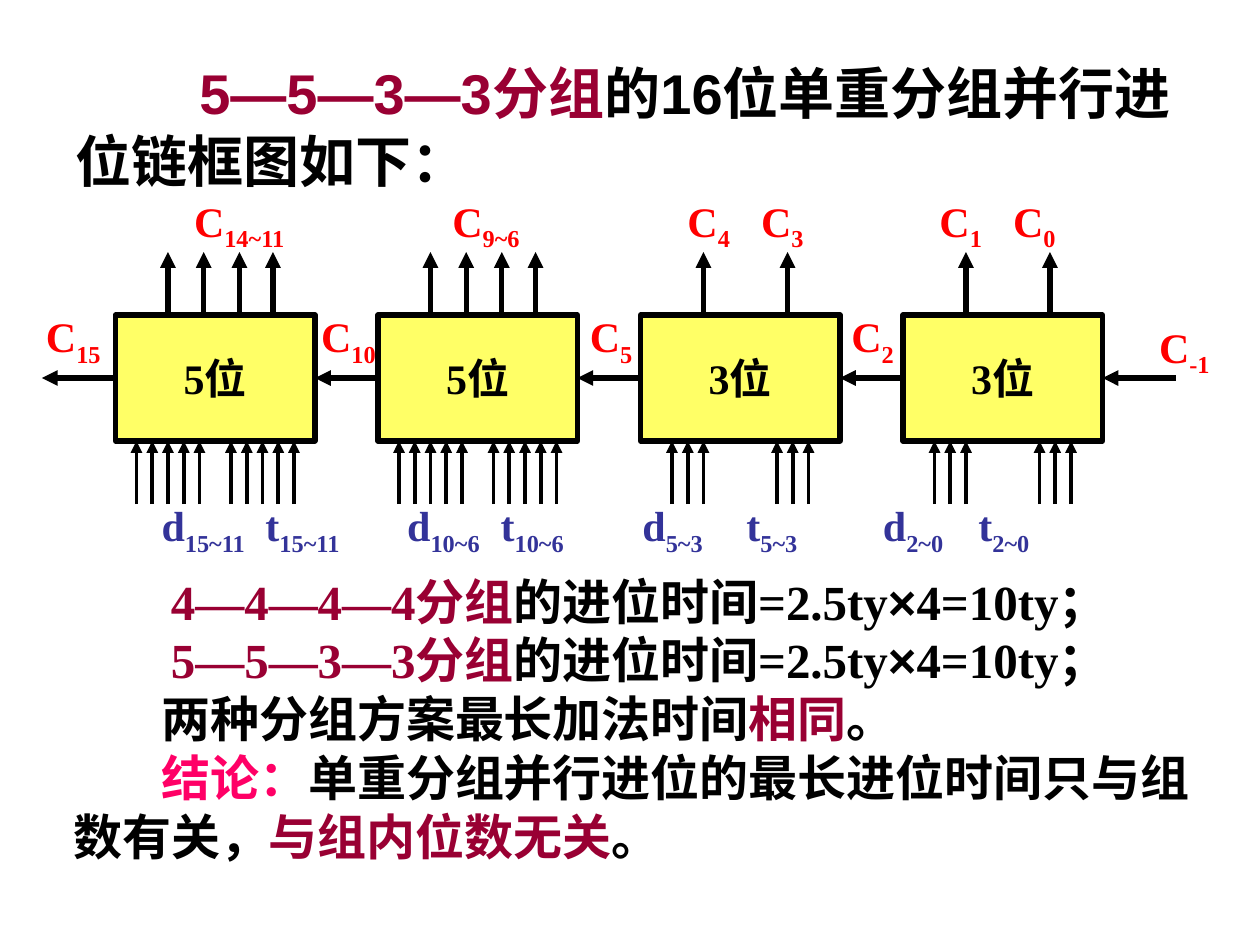
from pptx import Presentation
from pptx.dml.color import RGBColor as RGB
from pptx.enum.shapes import MSO_CONNECTOR as CONN, MSO_SHAPE as SHAPE
from pptx.enum.text import MSO_ANCHOR as ANCHOR, PP_ALIGN as ALIGN
from pptx.oxml.ns import qn
from pptx.util import Pt
from lxml.etree import SubElement

PX = 7620  # EMU per px: 120 px to the inch
SERIF, SANS = "Times New Roman", "Arial"
COLORS = {
    "black": "000000",
    "wine": "990033",
    "pink": "FF0066",
    "red": "FF0000",
    "blue": "333399",
    "yellow": "FFFF66",
}


def rgb(name):
    return RGB.from_string(COLORS[name])


def add_run(p, text, size, color="black", font=SERIF, sub=False):
    r = p.add_run()
    r.text = text
    r.font.size, r.font.bold, r.font.name = Pt(size), True, font
    r.font.color.rgb = rgb(color)
    if sub:
        r.font._element.set("baseline", "-25000")


def add_text(slide, box, anchor=ANCHOR.TOP):
    sp = slide.shapes.add_textbox(*(v * PX for v in box))
    tf = sp.text_frame
    tf.word_wrap, tf.vertical_anchor, tf.margin_right = True, anchor, 0
    return tf


def set_indent(p, px):
    pPr = p._p.get_or_add_pPr()
    pPr.set("marL", "0")
    pPr.set("indent", str(px * PX))


def add_labels(slide, box, color, labels, tabs=()):
    """One line of letters with subscripts, spread over tab stops."""
    p = add_text(slide, box).paragraphs[0]
    if tabs:
        tab_list = SubElement(p._p.get_or_add_pPr(), qn("a:tabLst"))
        for pos in tabs:
            SubElement(tab_list, qn("a:tab"), pos=str(pos * PX), algn="l")
    for i, (letter, sub) in enumerate(labels):
        add_run(p, ("\t" if i else "") + letter, 24, color)
        add_run(p, sub, 24, color, sub=True)


def add_arrow(slide, x1, y1, x2, y2, width=3):
    c = slide.shapes.add_connector(CONN.STRAIGHT, *(v * PX for v in (x1, y1, x2, y2)))
    c.line.color.rgb, c.line.width = rgb("black"), Pt(width)
    SubElement(c.line._get_or_add_ln(), qn("a:tailEnd"), type="triangle")
    SubElement(c._element.spPr, qn("a:effectLst"))
    return c


def add_title(slide, box):
    p = add_text(slide, box, ANCHOR.MIDDLE).paragraphs[0]
    set_indent(p, 118)
    add_run(p, "5—5—3—3分组", 32, "wine", SANS)
    add_run(p, "的16位单重分组并行进位链框图如下：", 32, font=SANS)


def add_group(slide, box, bits, outputs):
    """A block with its carry outputs above and its d and t inputs below."""
    x, y, w, h = box
    sp = slide.shapes.add_shape(SHAPE.RECTANGLE, *(v * PX for v in box))
    sp.shadow.inherit = False
    sp.fill.solid()
    sp.fill.fore_color.rgb = rgb("yellow")
    sp.line.color.rgb, sp.line.width = rgb("black"), Pt(3)
    tf = sp.text_frame
    tf.word_wrap, tf.vertical_anchor = False, ANCHOR.MIDDLE
    p = tf.paragraphs[0]
    p.alignment = ALIGN.CENTER
    add_run(p, f"{bits}位", 24)

    for dx in outputs:
        add_arrow(slide, x + dx, y, x + dx, y - 60)
    for start in (20, 110) if bits == 5 else (30, 130):
        for i in range(bits):
            dx = start + 15 * i
            add_arrow(slide, x + dx, y + h + 60, x + dx, y + h, 2.25)
    return sp


def add_carry_chain(slide, box):
    left, top, width, height = box
    block_w, pitch, mid = 190, 250, top + height // 2
    four, two = (50, 84, 118, 150), (60, 140)
    groups = [(5, four), (5, four), (3, two), (3, two)]
    blocks = [
        add_group(slide, (left + pitch * i, top, block_w, height), bits, outputs)
        for i, (bits, outputs) in enumerate(groups)
    ]

    # Carries run from right to left
    for i in range(len(blocks) + 1):
        x = left + pitch * i
        start = x if i < len(blocks) else left + width + 70
        end = x - pitch + block_w if i else left - 70
        c = add_arrow(slide, start, mid, end, mid)
        if i < len(blocks):
            c.begin_connect(blocks[i], 1)
        if i:
            c.end_connect(blocks[i - 1], 3)

    # Carry names between the blocks
    for dx, dy, sub in [(-78, -10, "15"), (184, -10, "10"), (440, -10, "5"),
                        (689, -10, "2"), (982, 0, "-1")]:
        add_labels(slide, (left + dx, top + dy, 76, 67), "red", [("C", sub)])

    # Output and input names
    add_labels(slide, (left + 63, top - 120, 845, 67), "red",
               [("C", s) for s in ("14~11", "9~6", "4", "3", "1", "0")],
               (246, 470, 540, 710, 780))
    spans = ("15~11", "10~6", "5~3", "2~0")
    add_labels(slide, (left + 32, top + 170, 853, 67), "blue",
               [(letter, s) for s in spans for letter in "dt"],
               (99, 234, 323, 458, 557, 687, 778))


def add_conclusion(slide, box):
    def timing(groups):
        return 93, [(groups, "wine"), ("的进位时间=2.5ty",),
                    ("×", "black", SANS), ("4=10ty；",)]

    lines = [
        timing("4—4—4—4分组"),
        timing("5—5—3—3分组"),
        (84, [("两种分组方案最长加法时间",), ("相同", "wine"), ("。",)]),
        (84, [("结论：", "pink"), ("单重分组并行进位的最长进位时间只与组数有关，",),
              ("与组内位数无关", "wine"), ("。",)]),
    ]
    tf = add_text(slide, box)
    for i, (indent, runs) in enumerate(lines):
        p = tf.add_paragraph() if i else tf.paragraphs[0]
        set_indent(p, indent)
        for text, *style in runs:
            add_run(p, text, 28, *style)


def main():
    prs = Presentation()
    prs.slide_width, prs.slide_height = 1200 * PX, 900 * PX
    slide = prs.slides.add_slide(prs.slide_layouts[6])
    add_title(slide, (60, 40, 1090, 160))
    add_carry_chain(slide, (110, 300, 940, 120))
    add_conclusion(slide, (58, 538, 1092, 293))
    prs.save("out.pptx")


if __name__ == "__main__":
    main()
